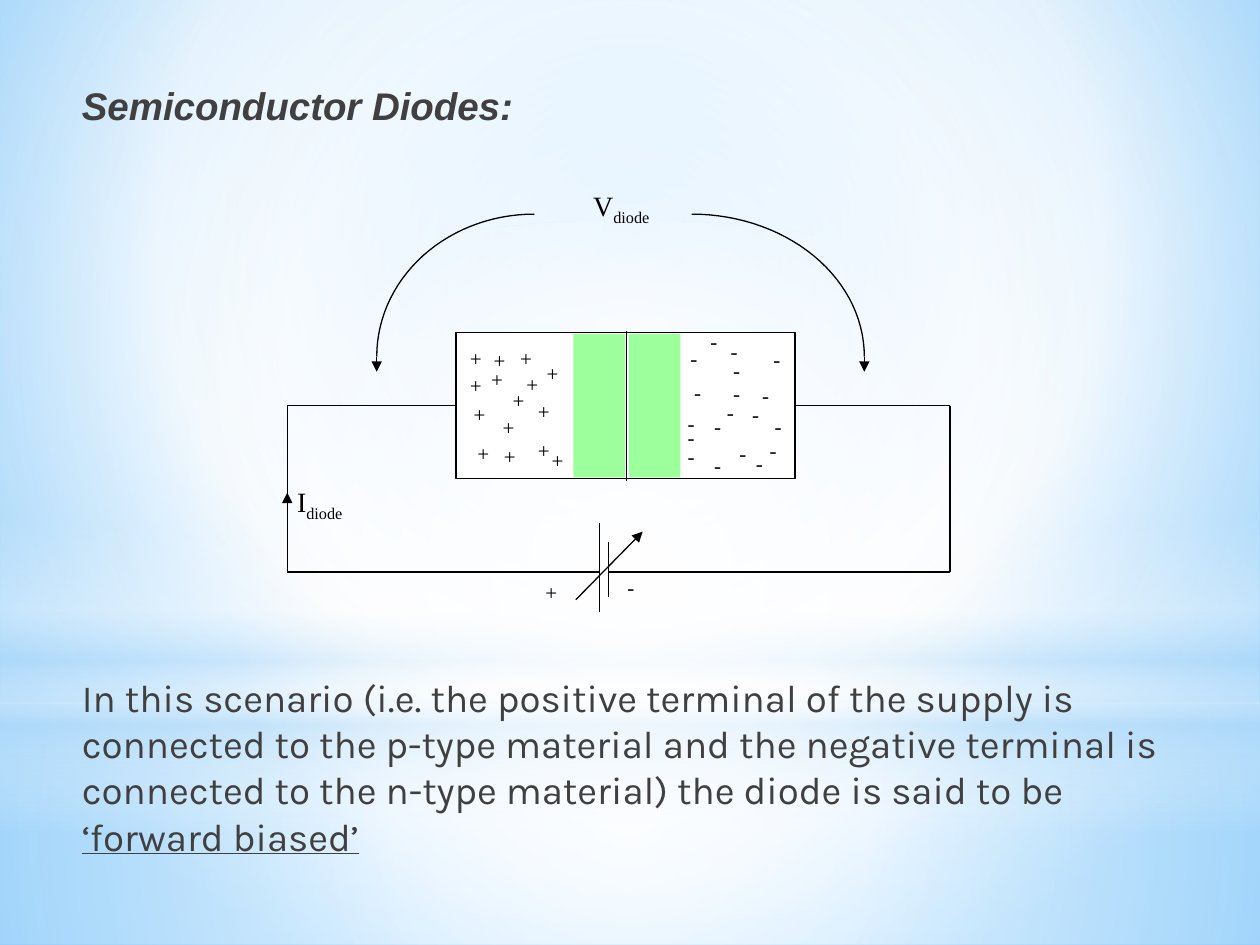
"""Build the slide on a forward biased semiconductor diode."""
import math
from dataclasses import dataclass

import lxml.etree
import pptx
import pptx.dml.color
import pptx.enum.shapes
import pptx.enum.text
import pptx.oxml
import pptx.oxml.ns
import pptx.util


@dataclass(frozen=True)
class Theme:
    ink: str = "000000"
    text: str = "404040"
    white: str = "FFFFFF"
    sky: str = "B4DCFA"
    pale: str = "9ED5FF"
    deep: str = "5BB9FF"
    depletion: str = "00FF00"
    title_font: str = "Arial"
    body_font: str = "Karla"
    label_font: str = "Times New Roman"
    body_size: int = 22
    label_size: int = 16
    charge_size: int = 12
    line: float = 0.75


T = Theme()
SHAPES = pptx.enum.shapes.MSO_SHAPE
INCH = pptx.util.Inches
qn = pptx.oxml.ns.qn

W, H = 10, 7.5
LEFT, WIDTH = 0.5, 9.17
CENTRE = (50, 50, 50, 50)
BACKDROP = [(0, T.pale, 100), (60, T.white, 100), (100, T.deep, 100)]
LAYERS = [
    (SHAPES.RECTANGLE, (0, 5.58, W, 1.92),
     [(0, T.white, 91), (37, T.white, 76), (100, T.sky, 79)], CENTRE),
    (SHAPES.RECTANGLE, (0, 0, W, 5.58),
     [(0, T.white, 89), (48, T.white, 62), (100, T.sky, 79)], CENTRE),
    (SHAPES.RECTANGLE, (0, 4.12, W, 2.5),
     [(0, T.white, 0), (29, T.white, 30), (45, T.sky, 40),
      (55, T.white, 26), (65, T.sky, 60), (100, T.white, 0)], None),
    (SHAPES.OVAL, (0, 1.75, W, 5.58), [(0, T.white, 100), (56, T.white, 0)], CENTRE),
]

TITLE = "Semiconductor Diodes:"
BODY = [
    ("In this scenario (i.e. the positive terminal of the supply is connected to "
     "the p-type material and the negative terminal is connected to the n-type "
     "material) the diode is said to be ", {}),
    ("‘forward biased’", {"underline": True}),
]
DIODE = (3.62, 2.64, 2.69, 1.16)
DEPLETION = [(4.55, 2.65, 0.41, 1.14), (4.99, 2.65, 0.41, 1.14)]
CHARGES = {
    "+": [(3.63, 2.69), (3.8, 2.86), (3.9, 3.47), (3.66, 3.14), (4.17, 3.42),
          (4.24, 2.81), (3.69, 3.45), (4.17, 3.11), (4.03, 2.69), (3.82, 2.71),
          (3.63, 2.91), (3.97, 3.03), (3.89, 3.24), (4.28, 3.5), (4.08, 2.9),
          (4.23, 4.55)],
    "-": [(6.05, 3.23), (5.38, 2.69), (6.01, 3.42), (5.72, 2.97), (5.36, 3.32),
          (5.72, 2.79), (5.41, 2.96), (5.57, 3.54), (6.04, 2.7), (5.87, 3.14),
          (5.7, 2.64), (5.57, 3.23), (5.77, 3.45), (5.36, 3.21), (5.95, 2.99),
          (5.54, 2.56), (5.9, 3.53), (5.36, 3.47), (5.67, 3.12), (4.88, 4.51)],
}
LABELS = [("I", (2.26, 3.8, 1, 0.33)), ("V", (4.61, 1.45, 0.79, 0.33))]
WIRE_LEFT, WIRE_RIGHT, WIRE_TOP, WIRE_BOTTOM = 2.28, 7.54, 3.22, 4.54
PLATES = [(4.76, 4.15, 4.86), (4.83, 4.3, 4.74)]
ARC_TOP, ARC_BOTTOM, ARROW_TIP = 1.7, 2.83, 2.95
ARCS = [(4.24, 2.99), (5.49, 6.86)]


def rgb(code):
    return pptx.dml.color.RGBColor.from_string(code)


def add_gradient(root, stops, focus=None):
    """Swap the first empty fill under root for a radial or vertical gradient."""
    old = root.find(".//" + qn("a:noFill"))
    grad = pptx.oxml.parse_xml(f'<a:gradFill {pptx.oxml.ns.nsdecls("a")} rotWithShape="1"/>')
    gs_list = lxml.etree.SubElement(grad, qn("a:gsLst"))
    for pos, colour, alpha in stops:
        gs = lxml.etree.SubElement(gs_list, qn("a:gs"), pos=str(pos * 1000))
        clr = lxml.etree.SubElement(gs, qn("a:srgbClr"), val=colour)
        lxml.etree.SubElement(clr, qn("a:alpha"), val=str(alpha * 1000))
    if focus:
        radial = lxml.etree.SubElement(grad, qn("a:path"))
        radial.set("path", "circle")
        sides = {side: str(share * 1000) for side, share in zip("ltrb", focus)}
        lxml.etree.SubElement(radial, qn("a:fillToRect"), **sides)
    else:
        lxml.etree.SubElement(grad, qn("a:lin"), ang="5400000", scaled="0")
    old.getparent().replace(old, grad)


def add_box(s, kind, at, fill=None, alpha=100, line=None):
    sp = s.shapes.add_shape(kind, *map(INCH, at))
    sp.shadow.inherit = False
    if fill:
        sp.fill.solid()
        sp.fill.fore_color.rgb = rgb(fill)
        clr = sp._element.spPr.find(".//" + qn("a:srgbClr"))
        lxml.etree.SubElement(clr, qn("a:alpha"), val=str(alpha * 1000))
    else:
        sp.fill.background()
    if line:
        sp.line.color.rgb = rgb(line)
        sp.line.width = pptx.util.Pt(T.line)
    else:
        sp.line.fill.background()
    return sp


def add_line(s, start, end, arrow=False):
    c = s.shapes.add_connector(pptx.enum.shapes.MSO_CONNECTOR.STRAIGHT,
                               *map(INCH, (*start, *end)))
    c.line.color.rgb = rgb(T.ink)
    c.line.width = pptx.util.Pt(T.line)
    if arrow:
        lxml.etree.SubElement(c.line._ln, qn("a:tailEnd"), type="triangle")
    lxml.etree.SubElement(c._element.spPr, qn("a:effectLst"))
    return c


def add_arc(s, start_x, end_x):
    """Draw a quarter ellipse that leaves level and comes down at end_x."""
    angles = [math.radians(90 * i / 30) for i in range(31)]
    points = [(INCH(start_x + (end_x - start_x) * math.sin(a)),
               INCH(ARC_BOTTOM + (ARC_TOP - ARC_BOTTOM) * math.cos(a))) for a in angles]
    builder = s.shapes.build_freeform(*points[0])
    builder.add_line_segments(points[1:], close=False)
    sp = builder.convert_to_shape()
    sp.shadow.inherit = False
    sp.fill.background()
    sp.line.color.rgb = rgb(T.ink)
    sp.line.width = pptx.util.Pt(T.line)
    add_line(s, (end_x, ARC_BOTTOM), (end_x, ARROW_TIP), arrow=True)


def add_text(s, runs, at, font=T.label_font, size=T.label_size, colour=T.ink,
             margin=0.1, sp=None, **common):
    """Fill a new text box, or the given placeholder, with one paragraph of runs."""
    sp = sp or s.shapes.add_textbox(0, 0, 0, 0)
    sp.left, sp.top, sp.width, sp.height = map(INCH, at)
    tf = sp.text_frame
    tf.word_wrap = True
    tf.auto_size = pptx.enum.text.MSO_AUTO_SIZE.NONE
    tf.vertical_anchor = pptx.enum.text.MSO_ANCHOR.TOP
    tf.margin_left = INCH(margin)
    p = tf.paragraphs[0]
    p.alignment = pptx.enum.text.PP_ALIGN.LEFT
    for text, extra in runs:
        r = p.add_run()
        r.text = text
        r.font.name, r.font.size = font, pptx.util.Pt(size)
        r.font.color.rgb = rgb(colour)
        for name, value in {**common, **extra}.items():
            if name == "baseline":
                r.font._element.set(name, str(value * 1000))
            else:
                setattr(r.font, name, value)


def main():
    prs = pptx.Presentation()
    prs.slide_width, prs.slide_height = INCH(W), INCH(H)
    s = prs.slides.add_slide(prs.slide_layouts[5])
    title = s.shapes.title

    s.background.fill.background()
    add_gradient(s._element, BACKDROP, (20, 10, 20, 60))
    for kind, at, stops, focus in LAYERS:
        layer = add_box(s, kind, at)
        add_gradient(layer._element, stops, focus)
        title._element.addprevious(layer._element)

    add_text(s, [(TITLE, {})], (LEFT, 0.6, WIDTH, 0.5), T.title_font, T.body_size,
             T.text, margin=0.15, sp=title, bold=True, italic=True)
    add_text(s, BODY, (LEFT, 5.3, WIDTH, 1.65), T.body_font, T.body_size, T.text, margin=0.15)

    diode = add_box(s, SHAPES.RECTANGLE, DIODE, T.white, line=T.ink)
    add_line(s, (4.97, 2.63), (4.97, 3.82))
    for at in DEPLETION:
        add_box(s, SHAPES.RECTANGLE, at, T.depletion, alpha=39)

    for x, side in ((WIRE_LEFT, 1), (WIRE_RIGHT, 3)):
        add_line(s, (x, WIRE_TOP), (x, WIRE_TOP)).end_connect(diode, side)
        add_line(s, (x, WIRE_TOP), (x, WIRE_BOTTOM))
    for x, (plate, top, bottom) in zip((WIRE_LEFT, WIRE_RIGHT), PLATES):
        add_line(s, (x, WIRE_BOTTOM), (plate, WIRE_BOTTOM))
        add_line(s, (plate, top), (plate, bottom))
    add_line(s, (4.57, 4.76), (5.1, 4.22), arrow=True)
    add_line(s, (WIRE_LEFT, 4.09), (WIRE_LEFT, 3.91), arrow=True)

    for sign, places in CHARGES.items():
        for x, y in places:
            add_text(s, [(sign, {})], (x, y, 0.29, 0.28), size=T.charge_size)
    for symbol, at in LABELS:
        add_text(s, [(symbol, {}), ("diode", {"baseline": -25})], at)
    for start_x, end_x in ARCS:
        add_arc(s, start_x, end_x)

    prs.save("out.pptx")


if __name__ == "__main__":
    main()
